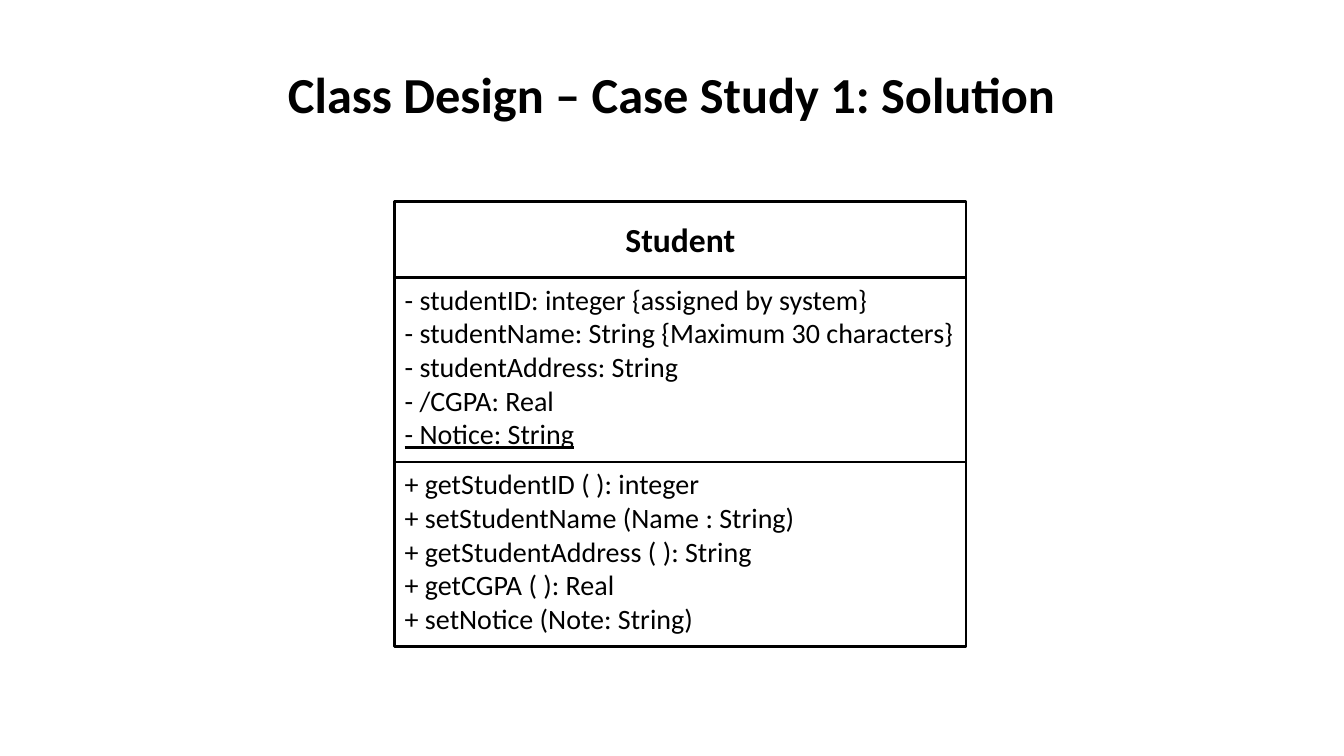
from pptx import Presentation
from pptx.dml.color import RGBColor
from pptx.enum.shapes import MSO_SHAPE
from pptx.enum.text import MSO_ANCHOR, PP_ALIGN
from pptx.util import Emu, Pt

BLACK = RGBColor(0x00, 0x00, 0x00)
EMU_PER_PX = 9525

ATTRIBUTES = [
    "- studentID: integer {assigned by system}",
    "- studentName: String {Maximum 30 characters}",
    "- studentAddress: String",
    "- /CGPA: Real",
    "- Notice: String",
]
STATIC_ATTRIBUTES = {"- Notice: String"}
OPERATIONS = [
    "+ getStudentID ( ): integer",
    "+ setStudentName (Name : String)",
    "+ getStudentAddress ( ): String",
    "+ getCGPA ( ): Real",
    "+ setNotice (Note: String)",
]


def px(*values):
    return [Emu(v * EMU_PER_PX) for v in values]


class ClassDiagram:
    font_name = "Calibri"
    color = BLACK
    line_width = Pt(2)

    def __init__(self, slide):
        self.slide = slide

    def set_lines(self, sp, lines, size, heading=False, underlined=()):
        """Fill a shape with one paragraph per line; headings are bold and centred."""
        tf = sp.text_frame
        tf.word_wrap = True
        tf.vertical_anchor = MSO_ANCHOR.MIDDLE if heading else MSO_ANCHOR.TOP
        for i, line in enumerate(lines):
            p = tf.add_paragraph() if i else tf.paragraphs[0]
            p.text = line
            p.alignment = PP_ALIGN.CENTER if heading else PP_ALIGN.LEFT
            p.font.name = self.font_name
            p.font.size = Pt(size)
            p.font.bold = heading
            p.font.color.rgb = self.color
            if line in underlined:
                p.font.underline = True

    def title(self, text, left, top, width, height):
        sp = self.slide.shapes.add_textbox(*px(left, top, width, height))
        self.set_lines(sp, [text], 36, heading=True)

    def compartment(self, lines, left, top, width, height, size=20, **style):
        sp = self.slide.shapes.add_shape(
            MSO_SHAPE.RECTANGLE, *px(left, top, width, height))
        sp.shadow.inherit = False
        sp.fill.background()
        sp.line.color.rgb = self.color
        sp.line.width = self.line_width
        self.set_lines(sp, lines, size, **style)


def main():
    prs = Presentation()
    prs.slide_width, prs.slide_height = px(1280, 720)
    diagram = ClassDiagram(prs.slides.add_slide(prs.slide_layouts[6]))

    diagram.title("Class Design – Case Study 1: Solution", 64, 29, 1152, 120)

    left, top, width = 376, 192, 544
    name_height, member_height = 72, 176
    diagram.compartment(["Student"], left, top, width, name_height,
                        size=24, heading=True)
    top += name_height
    for members in (ATTRIBUTES, OPERATIONS):
        diagram.compartment(members, left, top, width, member_height,
                            underlined=STATIC_ATTRIBUTES)
        top += member_height

    prs.save("out.pptx")


if __name__ == "__main__":
    main()
